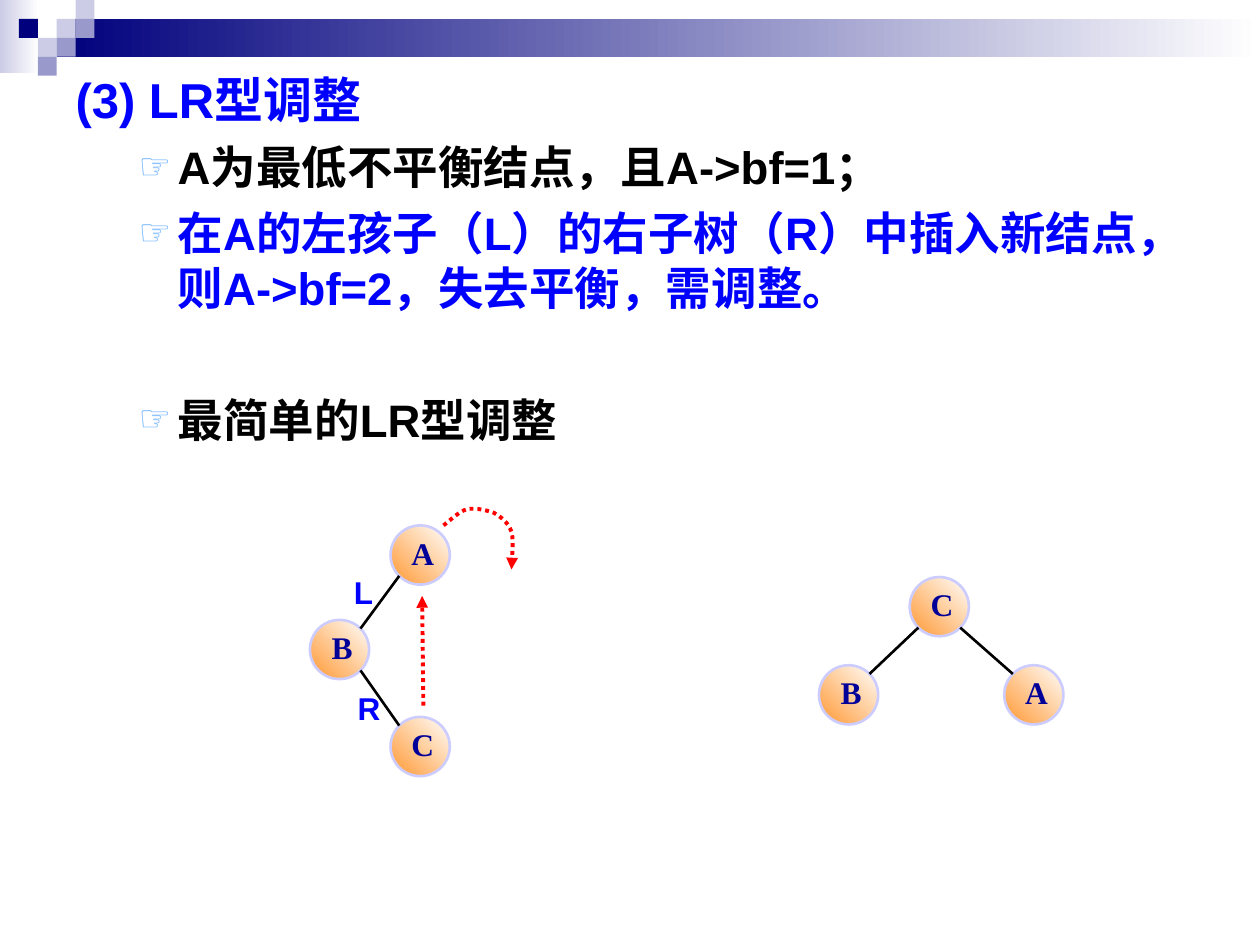
from itertools import pairwise
from math import sqrt

from lxml import etree
from pptx import Presentation
from pptx import util as u
from pptx.dml.color import RGBColor
from pptx.enum import dml, shapes, text
from pptx.oxml.ns import qn

NAVY = RGBColor(0x00, 0x00, 0x7D)
INK = RGBColor(0x00, 0x00, 0x99)
BLUE = RGBColor(0x00, 0x00, 0xFF)
BLACK = RGBColor(0x00, 0x00, 0x00)
WHITE = RGBColor(0xFF, 0xFF, 0xFF)
RED = RGBColor(0xFF, 0x00, 0x00)
ORANGE = RGBColor(0xFF, 0x99, 0x33)
LAVENDER = RGBColor(0xCC, 0xCC, 0xFF)
PALE = RGBColor(0xCC, 0xCC, 0xE6)
MID = RGBColor(0x99, 0x99, 0xCC)
SKY = RGBColor(0x67, 0xAF, 0xFF)

HEADING = "(3) LR型调整"
POINTS = [
    ("A为最低不平衡结点，且A->bf=1；", BLACK, 6.5),
    ("在A的左孩子（L）的右子树（R）中插入新结点，则A->bf=2，失去平衡，需调整。", BLUE, 6.5),
    ("最简单的LR型调整", BLACK, 44),
]
BANNER = [(0, 0, 0.31, 0.58, PALE), (0.45, 0.15, 9.55, 0.3, NAVY)]
TILE = 0.15
TILES = [(3, 1, PALE), (4, 0, PALE), (4, 1, MID), (2, 2, PALE),
         (1, 1, NAVY), (3, 2, MID), (2, 3, MID)]
NODE = 0.47
TREES = [
    ({"A": (3.1, 4.17), "B": (2.46, 4.92), "C": (3.1, 5.69)}, ["AB", "BC"]),
    ({"C": (7.22, 4.58), "B": (6.5, 5.28), "A": (7.97, 5.28)}, ["CB", "CA"]),
]
BRANCH_LABELS = [("L", 2.71, 4.5, 0.35), ("R", 2.74, 5.42, 0.38)]
LIFT = ((3.36, 5.6), (3.35, 4.73))
ROTATION = [(3.52, 4.17), (3.55, 4.15), (3.64, 4.06), (3.71, 4.04),
            (3.78, 4.03), (3.86, 4.05), (3.92, 4.07),
            (3.97, 4.1), (4.03, 4.14), (4.06, 4.22),
            (4.08, 4.29), (4.06, 4.46), (4.06, 4.52)]
CURVE_STEPS = 8


def apply(target, values):
    for name, value in values.items():
        setattr(target, name, value)


def set_font(font, name, size, color):
    apply(font, {"name": name, "size": u.Pt(size), "bold": True})
    font.color.rgb = color


def inches(*lengths):
    return [u.Inches(length) for length in lengths]


def add_preset(kind, place):
    shape = slide.shapes.add_shape(kind, *inches(*place))
    shape.shadow.inherit = False
    shape.line.fill.background()
    return shape


def shade(shape, start, angle):
    shape.fill.gradient()
    shape.fill.gradient_angle = angle
    for stop, color in zip(shape.fill.gradient_stops, (start, WHITE)):
        stop.color.rgb = color


def style_line(line, color, width):
    line.color.rgb = color
    line.width = u.Pt(width)


def add_line(start, end, color, width):
    line = slide.shapes.add_connector(shapes.MSO_CONNECTOR.STRAIGHT, *inches(*start, *end))
    etree.SubElement(line._element.spPr, qn("a:effectLst"))
    style_line(line.line, color, width)
    return line


def make_dotted_arrow(line):
    line.dash_style = dml.MSO_LINE.ROUND_DOT
    etree.SubElement(line._get_or_add_ln(), qn("a:tailEnd"), type="triangle")


def set_bullet(para, margin, indent, symbol=None):
    props = para._p.get_or_add_pPr()
    props.set("marL", str(u.Inches(margin)))
    props.set("indent", str(u.Inches(indent)))
    if symbol:
        color = etree.SubElement(props, qn("a:buClr"))
        etree.SubElement(color, qn("a:srgbClr"), val=str(SKY))
        etree.SubElement(props, qn("a:buSzPct"), val="80000")
        etree.SubElement(props, qn("a:buChar"), char=symbol)
    else:
        etree.SubElement(props, qn("a:buNone"))


def fill_body(body):
    places = dict(zip(("left", "top", "width", "height"), inches(0.5, 0.5, 9, 7)))
    apply(body, places)
    frame = body.text_frame
    apply(frame, {"word_wrap": True, "auto_size": text.MSO_AUTO_SIZE.NONE,
                  "vertical_anchor": text.MSO_ANCHOR.TOP})
    para = frame.paragraphs[0]
    para.text = HEADING
    set_bullet(para, 0.38, -0.38)
    para.space_before = u.Pt(0)
    set_font(para.runs[0].font, "Arial", 28, BLUE)
    for words, color, gap in POINTS:
        para = frame.add_paragraph()
        para.text = words
        para.level = 1
        set_bullet(para, 0.81, -0.31, "☞")
        para.space_before = u.Pt(gap)
        set_font(para.runs[0].font, "Arial", 26, color)


def add_node(name, place):
    node = add_preset(shapes.MSO_SHAPE.OVAL, (*place, NODE, NODE))
    shade(node, ORANGE, 45)
    style_line(node.line, LAVENDER, 1.5)
    frame = node.text_frame
    margins = zip(("margin_left", "margin_top", "margin_right", "margin_bottom"),
                  inches(0.14, 0.01, 0.1, 0.05))
    apply(frame, {"word_wrap": False, "vertical_anchor": text.MSO_ANCHOR.MIDDLE,
                  **dict(margins)})
    para = frame.paragraphs[0]
    para.text = name
    para.alignment = text.PP_ALIGN.CENTER
    set_font(para.runs[0].font, "Times New Roman", 18, INK)


def add_edge(parent, child):
    radius = NODE / 2
    reach = radius / sqrt(2)
    side = 1 if child[0] > parent[0] else -1
    start = (parent[0] + radius + side * reach, parent[1] + radius + reach)
    end = (child[0] + radius - side * reach, child[1] + radius - reach)
    add_line(start, end, BLACK, 1.5)


def curve_points(controls):
    for first in range(0, len(controls) - 1, 3):
        a, b, c, d = controls[first:first + 4]
        for step in range(1, CURVE_STEPS + 1):
            t = step / CURVE_STEPS
            s = 1 - t
            yield inches(*(s**3 * a[i] + 3 * s * s * t * b[i] + 3 * s * t * t * c[i] + t**3 * d[i]
                           for i in (0, 1)))


deck = Presentation()
apply(deck, {"slide_width": u.Inches(10), "slide_height": u.Inches(7.5)})
slide = deck.slides.add_slide(deck.slide_layouts[1])
title = slide.shapes.title._element
title.getparent().remove(title)

for *place, color in BANNER:
    shade(add_preset(shapes.MSO_SHAPE.RECTANGLE, place), color, 0)
for column, row, color in TILES:
    tile = add_preset(shapes.MSO_SHAPE.RECTANGLE, (column * TILE, row * TILE, TILE, TILE))
    tile.fill.solid()
    tile.fill.fore_color.rgb = color

fill_body(slide.placeholders[1])

for nodes, edges in TREES:
    for name, place in nodes.items():
        add_node(name, place)
    for parent, child in edges:
        start, end = nodes[parent], nodes[child]
        add_edge(start, end)

for name, left, top, width in BRANCH_LABELS:
    box = slide.shapes.add_textbox(*inches(left, top, width, 0.4))
    apply(box.text_frame, {"word_wrap": False, "auto_size": text.MSO_AUTO_SIZE.SHAPE_TO_FIT_TEXT})
    para = box.text_frame.paragraphs[0]
    para.text = name
    set_font(para.runs[0].font, "Arial", 18, BLUE)

outline = slide.shapes.build_freeform(*inches(*ROTATION[0]))
outline.add_line_segments(list(curve_points(ROTATION)), close=False)
turn = outline.convert_to_shape()
turn.shadow.inherit = False
turn.fill.background()
style_line(turn.line, RED, 2.25)
make_dotted_arrow(turn.line)
make_dotted_arrow(add_line(*LIFT, RED, 2.25).line)

deck.save("out.pptx")
